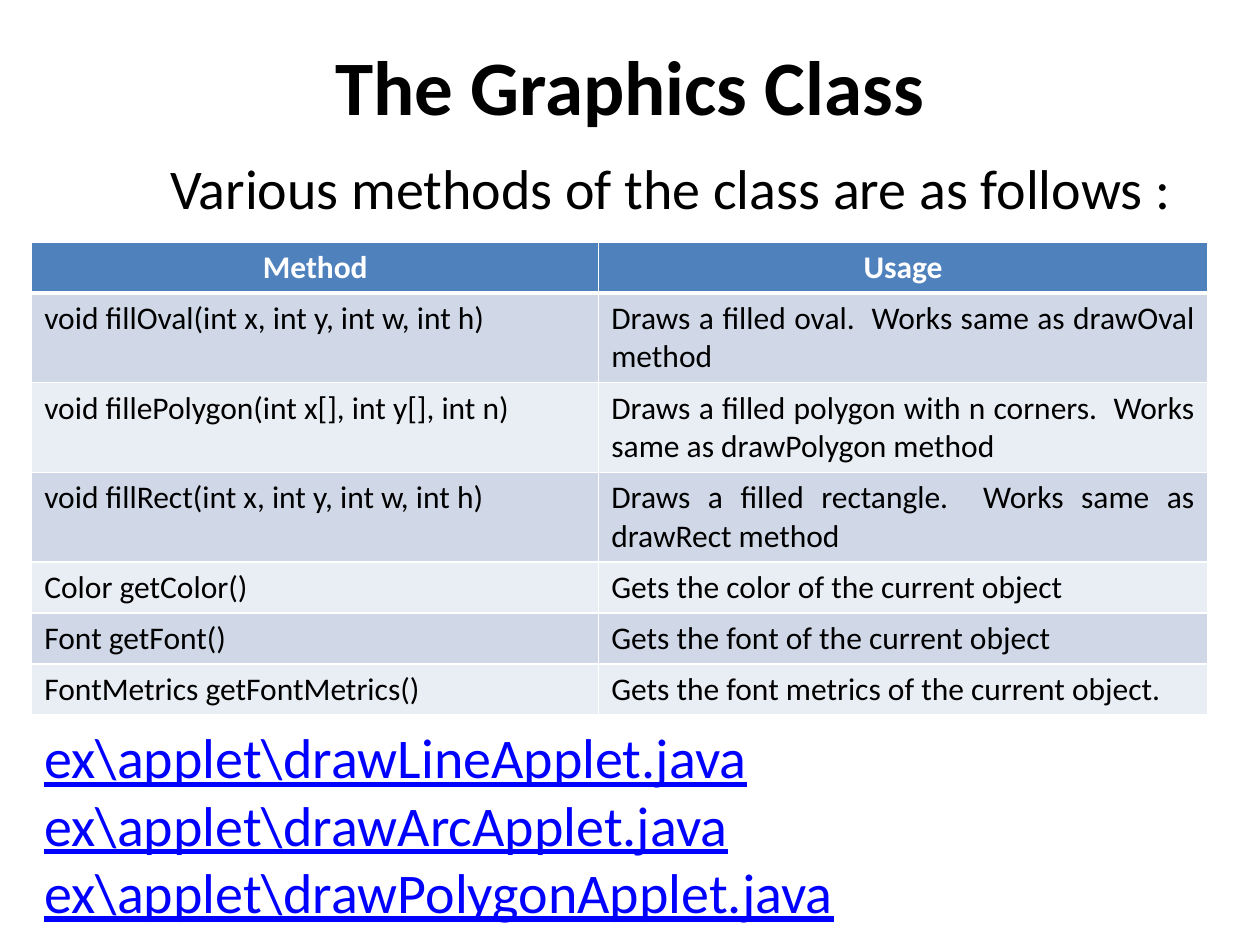
from pptx import Presentation
from pptx.dml.color import RGBColor
from pptx.enum.text import PP_ALIGN, MSO_ANCHOR, MSO_AUTO_SIZE
from pptx.oxml import parse_xml
from pptx.oxml.ns import nsdecls
from pptx.util import Cm, Pt


def style(para, size, color, align, bold=False, line=False):
    para.alignment = align
    for run in para.runs:
        font = run.font
        font.name = "Calibri"
        font.size = Pt(size)
        font.bold = bold
        font.underline = line
        font.color.rgb = RGBColor.from_string(color)


def edge(cell, side, width):
    cell._tc.get_or_add_tcPr().append(parse_xml(
        f'<a:ln{side} {nsdecls("a")} w="{Pt(width)}"><a:solidFill>'
        f'<a:srgbClr val="FFFFFF"/></a:solidFill></a:ln{side}>'))


deck = Presentation()
deck.slide_width, deck.slide_height = Cm(25.4), Cm(19.05)
slide = deck.slides.add_slide(deck.slide_layouts[5])

# Title
title = slide.shapes.title
title.left, title.top = Cm(0), Cm(0.43)
title.width, title.height = Cm(25.4), Cm(2.54)
title.text_frame.text = "The Graphics Class"
title.text_frame.vertical_anchor = MSO_ANCHOR.MIDDLE
style(title.text_frame.paragraphs[0], 44, "000000", PP_ALIGN.CENTER, bold=True)

# Method table
rows = [
    ("Method", "Usage"),
    ("void fillOval(int x, int y, int w, int h)",
     "Draws a filled oval.  Works same as drawOval method"),
    ("void fillePolygon(int x[], int y[], int n)",
     "Draws a filled polygon with n corners.  Works same as drawPolygon method"),
    ("void fillRect(int x, int y, int w, int h)",
     "Draws a filled rectangle.  Works same as drawRect method"),
    ("Color getColor()", "Gets the color of the current object"),
    ("Font getFont()", "Gets the font of the current object"),
    ("FontMetrics getFontMetrics()",
     "Gets the font metrics of the current object."),
]
table = slide.shapes.add_table(
    len(rows), 2, Cm(0.64), Cm(4.88), Cm(23.7), Cm(9.4)).table
table.columns[0].width, table.columns[1].width = Cm(11.43), Cm(12.27)

for r, row in enumerate(rows):
    table.rows[r].height = Cm(1.8 if 1 <= r <= 3 else 1.02)
    for c, text in enumerate(row):
        cell = table.cell(r, c)
        # The rule below the header is thicker than the others
        for side in "LRTB":
            thick = (r, side) in [(0, "B"), (1, "T")]
            edge(cell, side, 3 if thick else 1)
        cell.fill.solid()
        shade = "4F81BD" if r == 0 else "D0D8E8" if r % 2 else "E9EDF4"
        cell.fill.fore_color.rgb = RGBColor.from_string(shade)
        cell.text_frame.text = text
        para = cell.text_frame.paragraphs[0]
        if r == 0:
            style(para, 18, "FFFFFF", PP_ALIGN.CENTER, bold=True)
        else:
            style(para, 18, "000000", PP_ALIGN.JUSTIFY if c else PP_ALIGN.LEFT)

# Lead-in above the table and file list below it
files = [f"ex\\applet\\draw{name}Applet.java" for name in ("Line", "Arc", "Polygon")]
boxes = [
    (2.97, 1.63, ["\tVarious methods of the class are as follows :"], "000000", False),
    (14.45, 4.37, files, "0000FF", True),
]
for top, height, lines, color, line in boxes:
    box = slide.shapes.add_textbox(Cm(0.64), Cm(top), Cm(24.33), Cm(height))
    frame = box.text_frame
    frame.word_wrap = True
    frame.auto_size = MSO_AUTO_SIZE.SHAPE_TO_FIT_TEXT
    frame.text = "\n".join(lines)
    for para in frame.paragraphs:
        if para.text.startswith("\t"):
            para._p.get_or_add_pPr().append(parse_xml(
                f'<a:tabLst {nsdecls("a")}><a:tab pos="{Cm(2.54)}" algn="l"/></a:tabLst>'))
        style(para, 32, color, PP_ALIGN.JUSTIFY, line=line)

deck.save("out.pptx")
